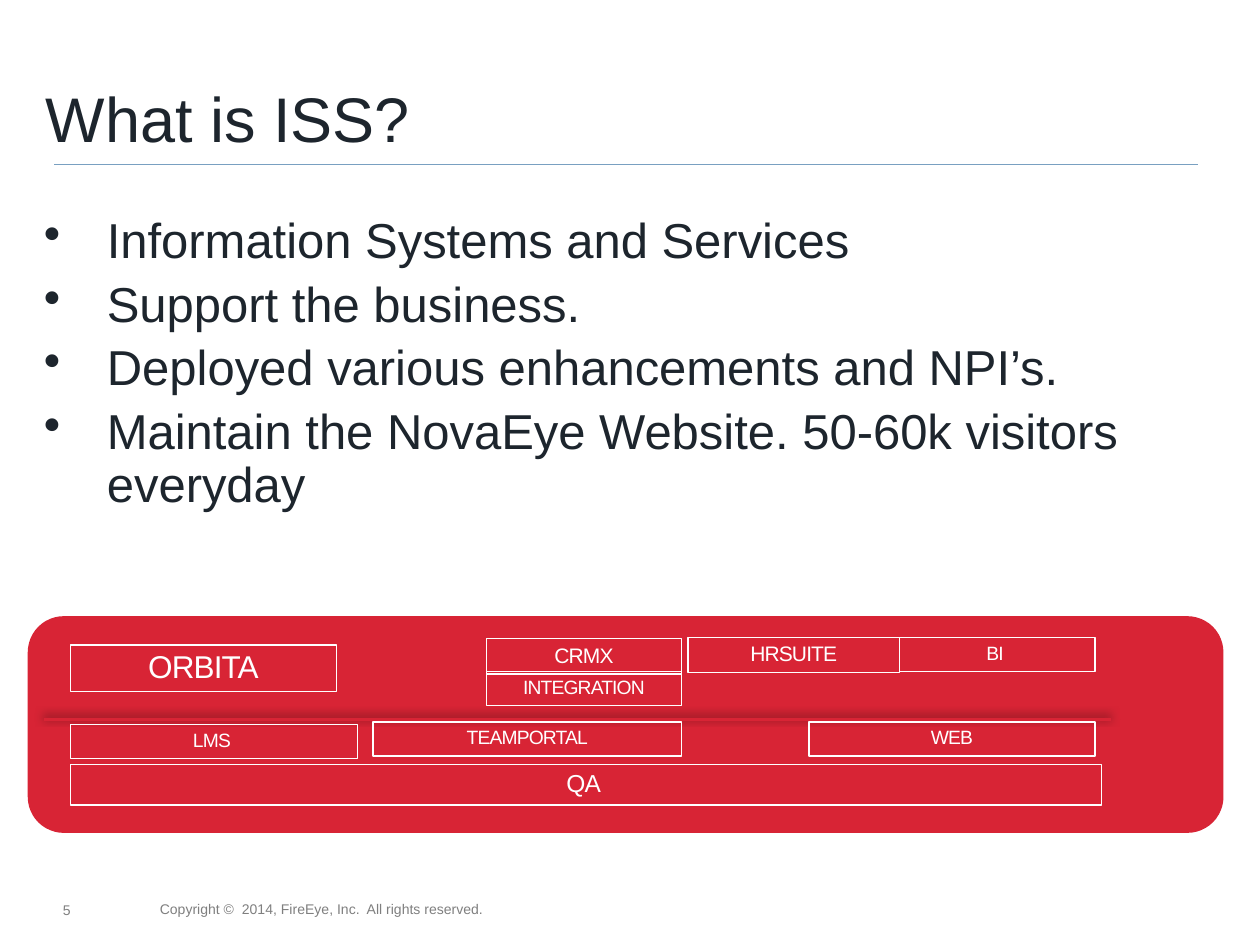
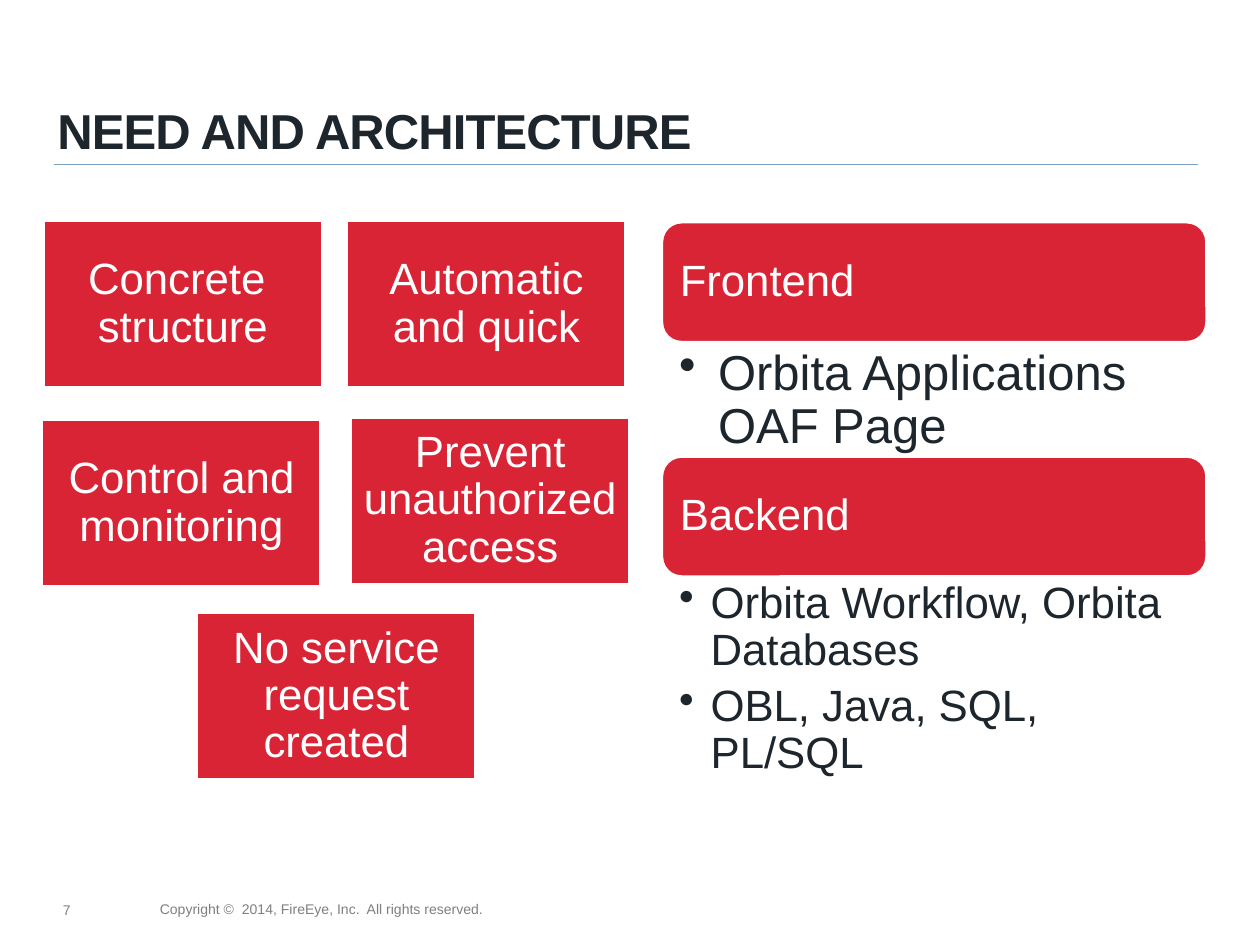
import pptx
import pptx.util
import pptx.dml.color
import pptx.enum.shapes
import pptx.enum.text
import pptx.oxml
import pptx.oxml.ns
from lxml import etree

Inches, Pt = pptx.util.Inches, pptx.util.Pt
SHAPES = pptx.enum.shapes.MSO_SHAPE
ALIGN = pptx.enum.text.PP_ALIGN
ANCHOR = pptx.enum.text.MSO_ANCHOR
qn = pptx.oxml.ns.qn

# Content
COLORS = {"red": "D82435", "ink": "1D252D", "white": "FFFFFF",
          "gray": "7F7F7F", "rule": "79A0C1", "black": "000000"}
FONT = "Arial"
COPYRIGHT = "Copyright ©  2014, FireEye, Inc.  All rights reserved."

ISS_POINTS = [
    "Information Systems and Services",
    "Support the business.",
    "Deployed various enhancements and NPI’s.",
    "Maintain the NovaEye Website. 50-60k visitors everyday",
]
# label, text size, (left, top, width, height)
SYSTEMS = [
    ("ORBITA", 18, (0.56, 5.12, 2.11, 0.37)),
    ("CRMX", 12, (3.86, 5.07, 1.55, 0.28)),
    ("HRSUITE", 12, (5.46, 5.06, 1.68, 0.28)),
    ("WEB", 11, (6.42, 5.73, 2.27, 0.27)),
    ("TEAMPORTAL", 11, (2.96, 5.73, 2.45, 0.27)),
    ("LMS ", 11, (0.56, 5.75, 2.28, 0.27)),
    ("INTEGRATION", 11, (3.86, 5.33, 1.55, 0.27)),
    ("BI ", 11, (7.14, 5.06, 1.55, 0.27)),
    ("QA ", 14, (0.56, 6.07, 8.18, 0.32)),
]
# label, (left, top)
NEEDS = [
    ("Concrete \vstructure", (0.34, 1.75)),
    ("Automatic and quick", (2.75, 1.75)),
    ("Control and monitoring", (0.33, 3.33)),
    ("Prevent unauthorized access", (2.78, 3.31)),
    ("No service request created", (1.56, 4.86)),
]
NEED_SIZE = (2.22, 1.33)
# heading, details, detail size, indent, detail height, insets
LAYERS = [
    ("Frontend", ["Orbita Applications OAF Page"], 28, 0.31, 0.9,
     (0.14, 0.04, 0.22, 0.04)),
    ("Backend", ["Orbita Workflow, Orbita Databases", "OBL, Java, SQL, PL/SQL"],
     25, 0.25, 1.6, (0.14, 0.03, 0.19, 0.03)),
]
LAYER_LEFT, LAYER_TOP, LAYER_WIDTH, HEADING_HEIGHT = 5.25, 1.76, 4.33, 0.96


def rgb(name):
    return pptx.dml.color.RGBColor.from_string(COLORS[name])


def write(shape, text, size=11, color="ink", bold=False, align=ALIGN.LEFT,
          anchor=ANCHOR.TOP, insets=(0.1, 0.05, 0.1, 0.05), wrap=True,
          tracking=0, line_spacing=None, space_after=0, bullet_indent=0):
    """Fill a shape with one paragraph, or with a list of paragraphs."""
    frame = shape.text_frame
    frame.word_wrap = wrap
    frame.auto_size = pptx.enum.text.MSO_AUTO_SIZE.NONE
    frame.vertical_anchor = anchor
    (frame.margin_left, frame.margin_top,
     frame.margin_right, frame.margin_bottom) = map(Inches, insets)
    lines = [text] if isinstance(text, str) else text
    for index, line in enumerate(lines):
        paragraph = frame.add_paragraph() if index else frame.paragraphs[0]
        paragraph.text = line
        if bullet_indent:
            properties = paragraph._p.get_or_add_pPr()
            properties.set("marL", str(Inches(bullet_indent)))
            properties.set("indent", str(-Inches(bullet_indent)))
            etree.SubElement(properties, qn("a:buChar")).set("char", "•")
        paragraph.alignment = align
        paragraph.line_spacing = line_spacing
        paragraph.space_before = Pt(0)
        paragraph.space_after = Pt(space_after)
        for run in paragraph.runs:
            run.font.name = FONT
            run.font.size = Pt(size)
            run.font.bold = bold
            run.font.color.rgb = rgb(color)
            if tracking:
                run._r.get_or_add_rPr().set("spc", str(int(tracking * 100)))


def add_text(slide, text, place, **text_format):
    write(slide.shapes.add_textbox(*map(Inches, place)), text, **text_format)


def add_panel(slide, place, kind=SHAPES.RECTANGLE, fill=None, line_width=0):
    """Add a preset shape with an optional fill and white outline."""
    shape = slide.shapes.add_shape(kind, *map(Inches, place))
    shape.shadow.inherit = False
    if fill:
        shape.fill.solid()
        shape.fill.fore_color.rgb = rgb(fill)
    else:
        shape.fill.background()
    if line_width:
        shape.line.color.rgb = rgb("white")
        shape.line.width = Pt(line_width)
    else:
        shape.line.fill.background()
    return shape


def add_rule(slide, left, right, top, color, width):
    """Add a horizontal line and return its effect list."""
    line = slide.shapes.add_connector(
        pptx.enum.shapes.MSO_CONNECTOR.STRAIGHT,
        Inches(left), Inches(top), Inches(right), Inches(top))
    line.line.color.rgb = rgb(color)
    line.line.width = Pt(width)
    return etree.SubElement(line._element.spPr, qn("a:effectLst"))


def add_shadow(effects):
    shadow = etree.SubElement(
        effects, qn("a:outerShdw"), blurRad=str(Pt(5)), dist=str(Pt(2)),
        dir=str(245 * 60000), algn="ctr", rotWithShape="0")
    tone = etree.SubElement(shadow, qn("a:srgbClr"), val=COLORS["black"])
    etree.SubElement(tone, qn("a:alpha"), val="50000")


def add_slide(presentation, title, number, place, **title_format):
    """Start a slide with its title, rule and footer."""
    slide = presentation.slides.add_slide(presentation.slide_layouts[5])
    heading = slide.shapes.title
    heading.left, heading.top, heading.width, heading.height = map(Inches, place)
    write(heading, title, align=ALIGN.CENTER, wrap=False, **title_format)
    add_text(slide, number, (0.32, 7.11, 0.34, 0.24), size=8, color="gray",
             align=ALIGN.RIGHT, wrap=False)
    add_text(slide, COPYRIGHT, (1.17, 7.1, 2.9, 0.23), size=8, color="gray",
             wrap=False)
    add_rule(slide, 0.43, 9.51, 1.3, "rule", 0.25)
    return slide


def build_iss(presentation):
    slide = add_slide(presentation, "What is ISS?", "5",
                      (0.25, 0.58, 3.12, 0.71), size=36)
    add_text(slide, ISS_POINTS, (0.25, 1.67, 9.33, 2.98), size=28,
             line_spacing=0.9, space_after=6, bullet_indent=0.5)
    # Systems band
    add_panel(slide, (0.22, 4.89, 9.49, 1.72), SHAPES.ROUNDED_RECTANGLE, "red")
    add_shadow(add_rule(slide, 0.35, 8.82, 5.71, "red", 2))
    for label, size, place in SYSTEMS:
        write(add_panel(slide, place, line_width=0.75), label, size=size,
              color="white", align=ALIGN.CENTER, tracking=-0.5,
              line_spacing=0.9)


def build_architecture(presentation):
    slide = add_slide(presentation, "NEED AND ARCHITECTURE", "7",
                      (0.33, 0.75, 5.28, 0.57), size=28, bold=True,
                      tracking=-0.5)
    panel_text = dict(size=25, color="white", anchor=ANCHOR.MIDDLE,
                      line_spacing=0.9)
    # Needs
    for label, corner in NEEDS:
        panel = add_panel(slide, corner + NEED_SIZE, fill="red", line_width=2)
        write(panel, label, align=ALIGN.CENTER, insets=(0.1,) * 4, **panel_text)
    # Architecture layers, stacked downwards
    top = LAYER_TOP
    for heading, details, size, indent, height, insets in LAYERS:
        panel = add_panel(slide, (LAYER_LEFT, top, LAYER_WIDTH, HEADING_HEIGHT),
                          SHAPES.ROUNDED_RECTANGLE, "red", 2)
        # The rounded shape already insets its text by about 0.05
        write(panel, heading, insets=(0.1,) * 4, **panel_text)
        top += HEADING_HEIGHT
        add_text(slide, details, (LAYER_LEFT, top, LAYER_WIDTH, height),
                 size=size, insets=insets, line_spacing=0.9,
                 space_after=size * 0.2, bullet_indent=indent)
        top += height


def main():
    presentation = pptx.Presentation()
    presentation.slide_width = Inches(10)
    presentation.slide_height = Inches(7.5)
    build_iss(presentation)
    build_architecture(presentation)
    presentation.save("out.pptx")


if __name__ == "__main__":
    main()
